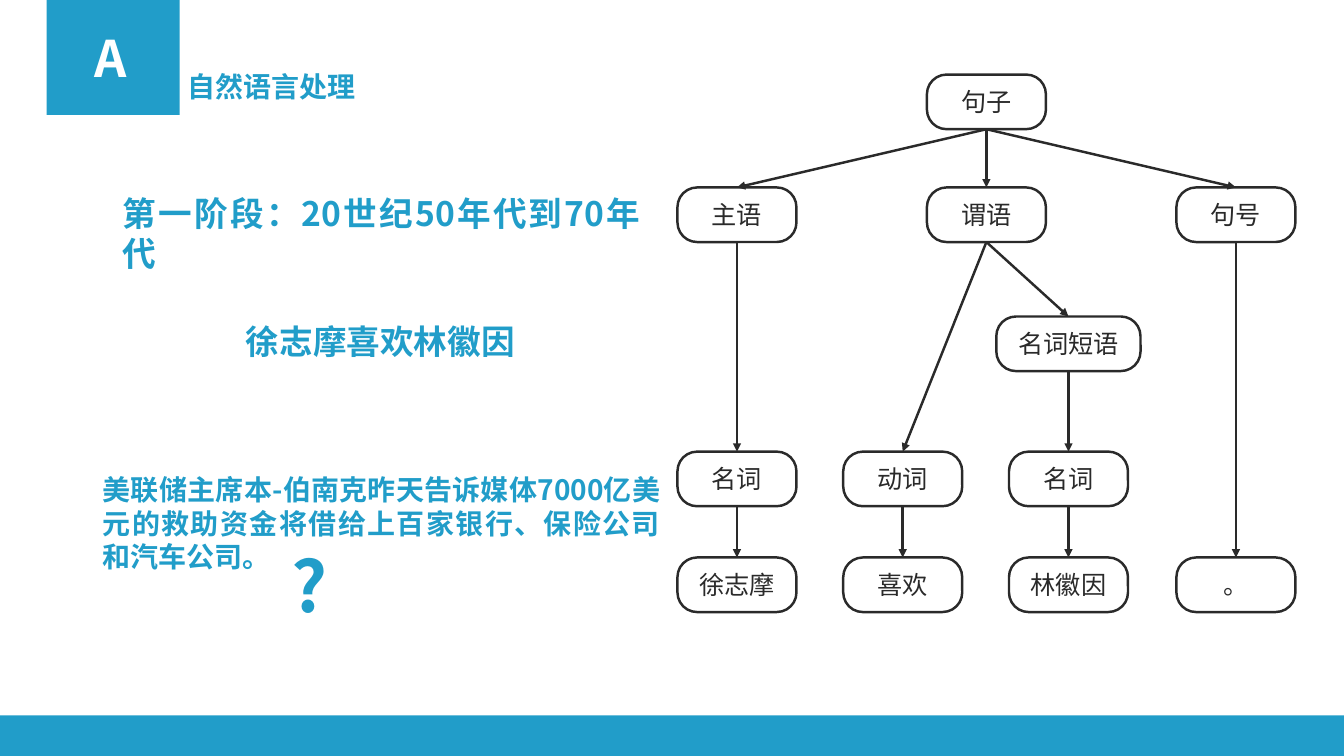
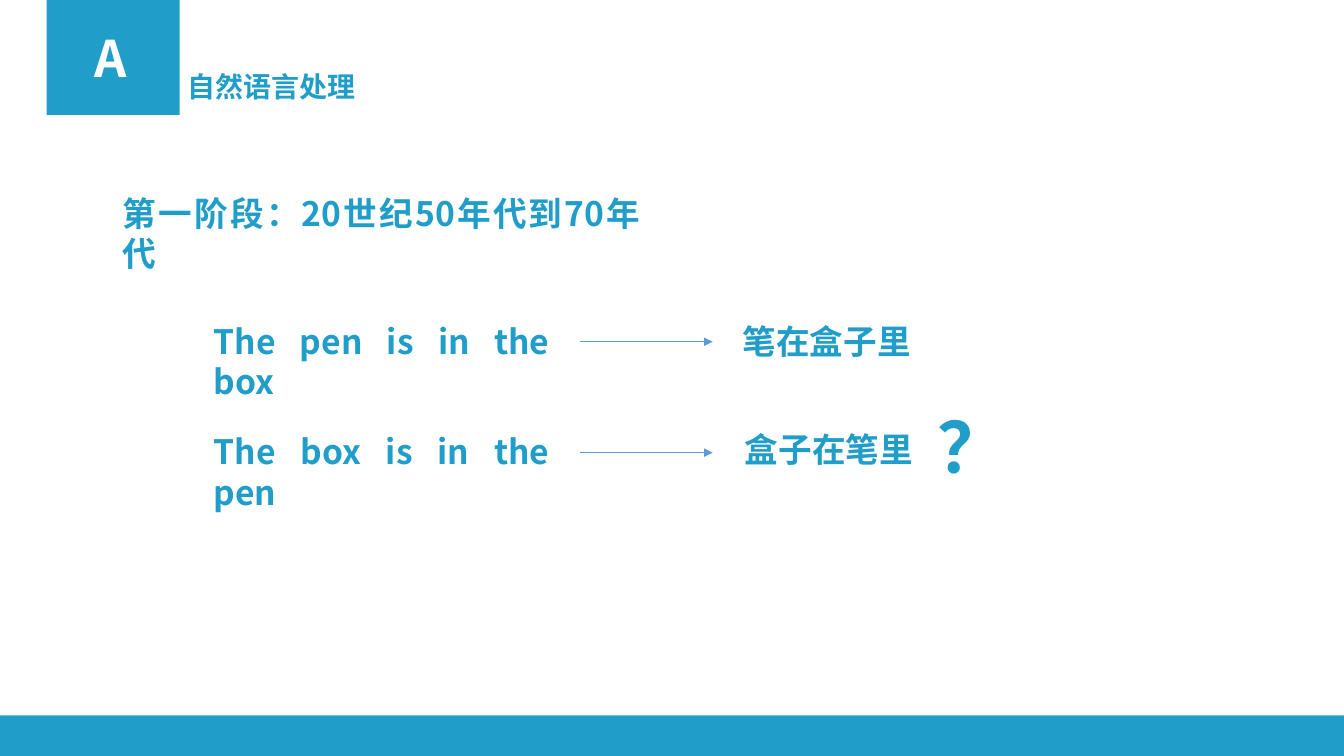
"""Build two slides on the first stage of natural language processing."""
from lxml import etree
from pptx import Presentation
from pptx.dml.color import RGBColor
from pptx.enum.shapes import MSO_CONNECTOR, MSO_SHAPE
from pptx.enum.text import MSO_ANCHOR, PP_ALIGN
from pptx.oxml.ns import qn
from pptx.util import Pt

STRAIGHT = MSO_CONNECTOR.STRAIGHT
RECTANGLE, ROUNDED = MSO_SHAPE.RECTANGLE, MSO_SHAPE.ROUNDED_RECTANGLE
TOP, MIDDLE = MSO_ANCHOR.TOP, MSO_ANCHOR.MIDDLE
CENTER, JUSTIFY = PP_ALIGN.CENTER, PP_ALIGN.JUSTIFY
NODE_BOTTOM, NODE_TOP = 2, 0

BLUE = RGBColor(0x21, 0x9D, 0xC9)
ARROW_BLUE = RGBColor(0x5B, 0x9B, 0xD5)
INK = RGBColor(0x2A, 0x2A, 0x2A)
WHITE = RGBColor(0xFF, 0xFF, 0xFF)
HEADING_FONT, NODE_FONT = "Noto Sans CJK SC", "Calibri"

SLIDE_WIDTH, SLIDE_HEIGHT = 960, 540
BAND_TOP = 511

SECTION = "A"
TITLE = "自然语言处理"
STAGE = "第一阶段：20世纪50年代到70年代"
SIMPLE_SENTENCE = "徐志摩喜欢林徽因"
HARD_SENTENCE = ("美联储主席本-伯南克昨天告诉媒体7000亿美元的救助资金"
                 "将借给上百家银行、保险公司和汽车公司。")

TREE_LEFT, TREE_RIGHT = 526.4, 882.8
TREE_MIDDLE = (TREE_LEFT + TREE_RIGHT) / 2
WORD_STEP = 118.4
VERB_X, OBJECT_X = TREE_LEFT + WORD_STEP, TREE_LEFT + 2 * WORD_STEP
LEVEL_TOPS = [53.3, 133.9, 226.1, 322.6, 398.2]
NODE_WIDTH, PHRASE_WIDTH, NODE_HEIGHT = 85, 103, 39

TREE_NODES = {
    "sentence": ("句子", TREE_MIDDLE, 0),
    "subject": ("主语", TREE_LEFT, 1),
    "predicate": ("谓语", TREE_MIDDLE, 1),
    "period": ("句号", TREE_RIGHT, 1),
    "noun phrase": ("名词短语", OBJECT_X, 2),
    "subject noun": ("名词", TREE_LEFT, 3),
    "verb": ("动词", VERB_X, 3),
    "object noun": ("名词", OBJECT_X, 3),
    "subject word": ("徐志摩", TREE_LEFT, 4),
    "verb word": ("喜欢", VERB_X, 4),
    "object word": ("林徽因", OBJECT_X, 4),
    "period mark": ("。", TREE_RIGHT, 4),
}
TREE_BRANCHES = [
    ("sentence", "subject"), ("sentence", "predicate"), ("sentence", "period"),
    ("subject", "subject noun"), ("predicate", "verb"),
    ("predicate", "noun phrase"), ("noun phrase", "object noun"),
    ("subject noun", "subject word"), ("verb", "verb word"),
    ("object noun", "object word"), ("period", "period mark"),
]
TRANSLATIONS = [
    ("The pen is in the box", "笔在盒子里", 225.4, 225.4, 527),
    ("The box is in the pen", "盒子在笔里", 304.6, 303.1, 528.5),
]
ARROW_LEFT, ARROW_LENGTH, ARROW_DROP = 414, 95, 18.7


def write(frame, text, *, size=24, color=BLUE, font=HEADING_FONT, bold=True,
          align=JUSTIFY, anchor=TOP):
    frame.word_wrap = True
    frame.vertical_anchor = anchor
    frame.margin_left = frame.margin_right = Pt(3.6)
    frame.margin_top = frame.margin_bottom = Pt(3.6)
    paragraph = frame.paragraphs[0]
    paragraph.alignment = align
    run = paragraph.add_run()
    run.text = text
    run.font.size, run.font.bold, run.font.name = Pt(size), bold, font
    run.font.color.rgb = color
    east_asian = etree.SubElement(run.font._element, qn("a:ea"))
    east_asian.set("typeface", HEADING_FONT)


def add_label(slide, text, left, top, width, height, **text_format):
    box = slide.shapes.add_textbox(Pt(left), Pt(top), Pt(width), Pt(height))
    write(box.text_frame, text, **text_format)


def add_block(slide, preset, left, top, width, height, fill):
    block = slide.shapes.add_shape(preset, Pt(left), Pt(top), Pt(width), Pt(height))
    block.shadow.inherit = False
    block.fill.solid()
    block.fill.fore_color.rgb = fill
    block.line.fill.background()
    return block


def add_arrow(slide, color, weight, start=(0, 0), end=(0, 0)):
    arrow = slide.shapes.add_connector(STRAIGHT, *map(Pt, start + end))
    arrow.line.color.rgb = color
    arrow.line.width = Pt(weight)
    outline = arrow.line._get_or_add_ln()
    etree.SubElement(outline, qn("a:tailEnd")).set("type", "triangle")
    etree.SubElement(arrow.element.spPr, qn("a:effectLst"))
    return arrow


def add_stage_slide(deck, layout):
    slide = deck.slides.add_slide(layout)
    add_block(slide, RECTANGLE, 33.4, 0, 95, 82, BLUE)
    add_label(slide, SECTION, 63.8, 15.8, 34, 50, size=36, color=WHITE)
    add_label(slide, TITLE, 130.3, 46.1, 130, 35, size=20)
    add_label(slide, STAGE, 84.2, 133.9, 376.6, 40)
    return slide


def add_band(layout, slide):
    band = add_block(slide, RECTANGLE, 0, BAND_TOP, SLIDE_WIDTH,
                     SLIDE_HEIGHT - BAND_TOP, BLUE)
    layout.shapes.element.append(band.element)


def add_tree(slide):
    nodes = {}
    for key, (text, center, level) in TREE_NODES.items():
        width = PHRASE_WIDTH if key == "noun phrase" else NODE_WIDTH
        node = add_block(slide, ROUNDED, center - width / 2, LEVEL_TOPS[level],
                         width, NODE_HEIGHT, WHITE)
        node.adjustments[0] = 0.36
        node.line.color.rgb = INK
        node.line.width = Pt(1.75)
        write(node.text_frame, text, size=18, color=INK, font=NODE_FONT,
              bold=False, align=CENTER, anchor=MIDDLE)
        nodes[key] = node
    for parent, child in TREE_BRANCHES:
        branch = add_arrow(slide, INK, 1.75)
        branch.begin_connect(nodes[parent], NODE_BOTTOM)
        branch.end_connect(nodes[child], NODE_TOP)


def main():
    deck = Presentation()
    deck.slide_width, deck.slide_height = Pt(SLIDE_WIDTH), Pt(SLIDE_HEIGHT)
    blank = deck.slide_layouts[6]

    parsing = add_stage_slide(deck, blank)
    add_band(blank, parsing)
    add_label(parsing, SIMPLE_SENTENCE, 172.1, 225.4, 201, 40)
    add_tree(parsing)
    add_label(parsing, HARD_SENTENCE, 69.8, 334.1, 405.4, 91, size=20)
    add_label(parsing, "?", 204.5, 383.8, 39, 67, size=50)

    translation = add_stage_slide(deck, blank)
    for english, chinese, top, chinese_top, chinese_left in TRANSLATIONS:
        add_label(translation, english, 149, top, 247, 36)
        arrow_y = top + ARROW_DROP
        add_arrow(translation, ARROW_BLUE, 1, (ARROW_LEFT, arrow_y),
                  (ARROW_LEFT + ARROW_LENGTH, arrow_y))
        add_label(translation, chinese, chinese_left, chinese_top, 130, 40)
    add_label(translation, "？", 666, 284.4, 59, 77, size=50)

    deck.save("out.pptx")


if __name__ == "__main__":
    main()
